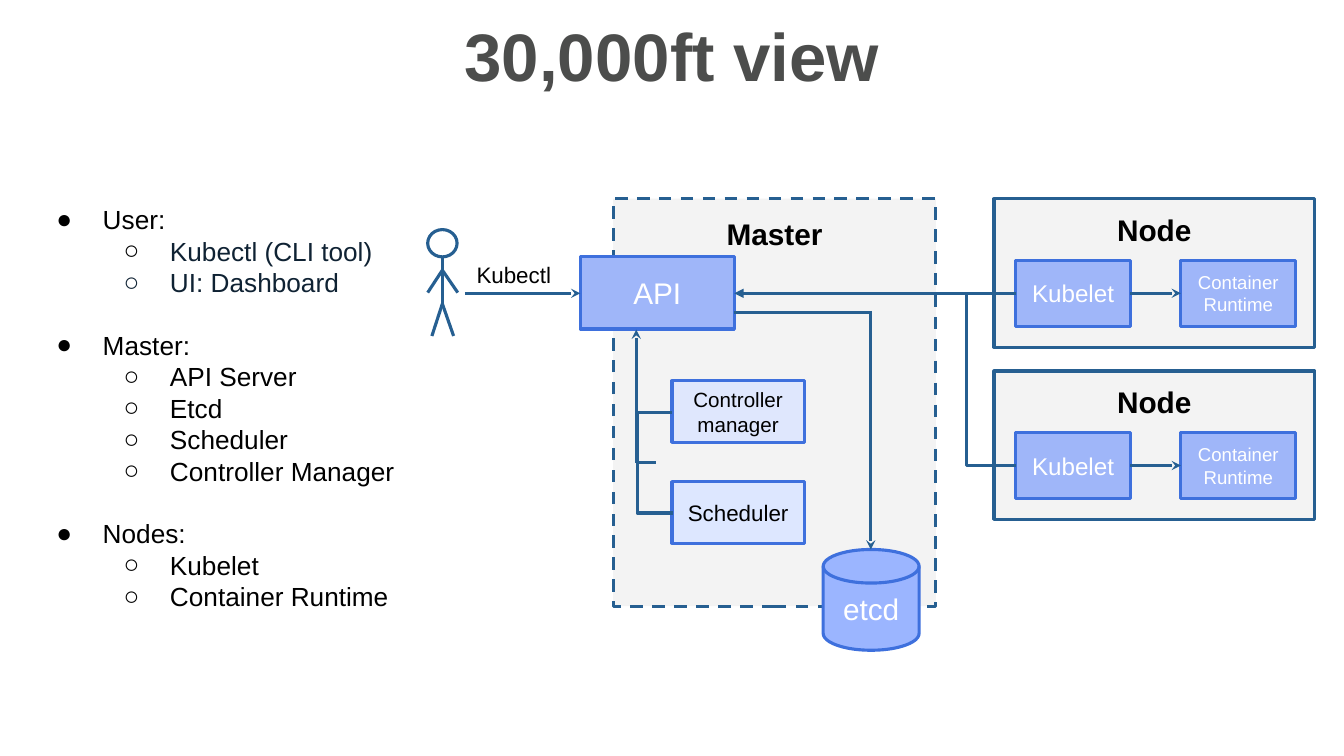
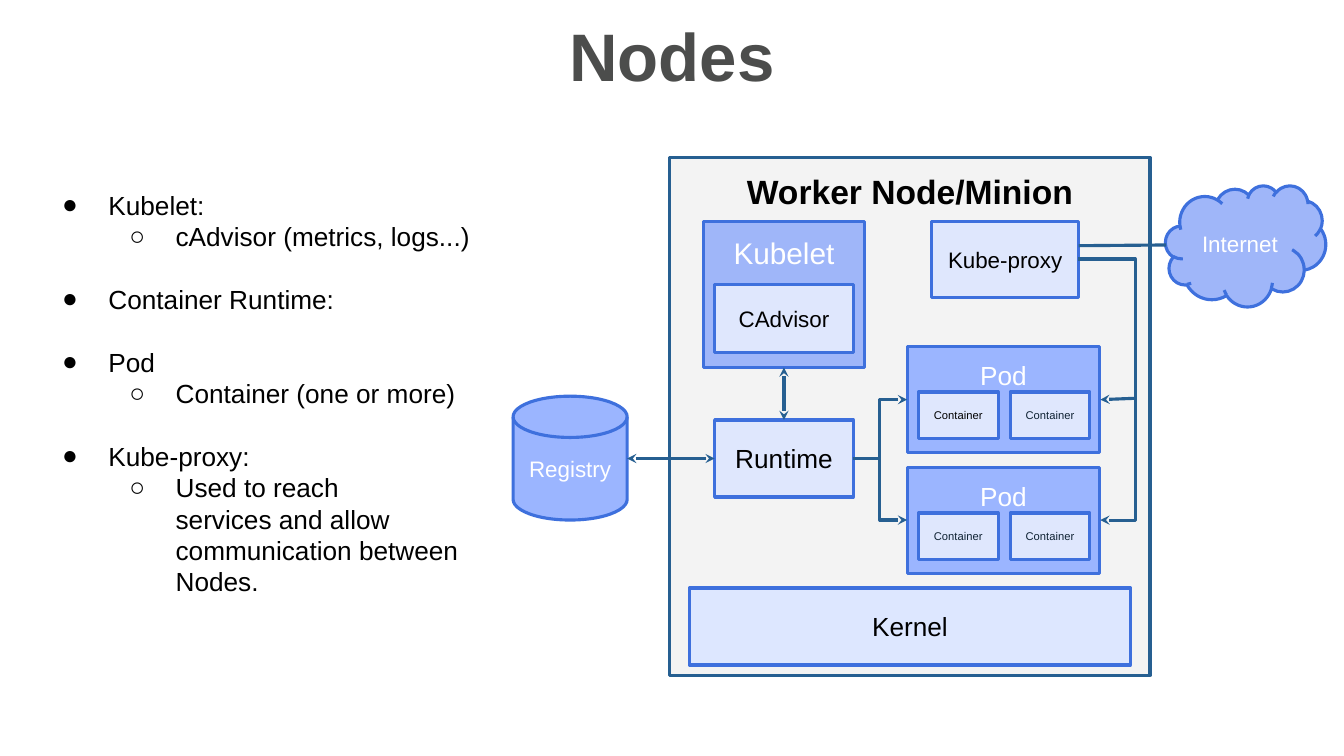
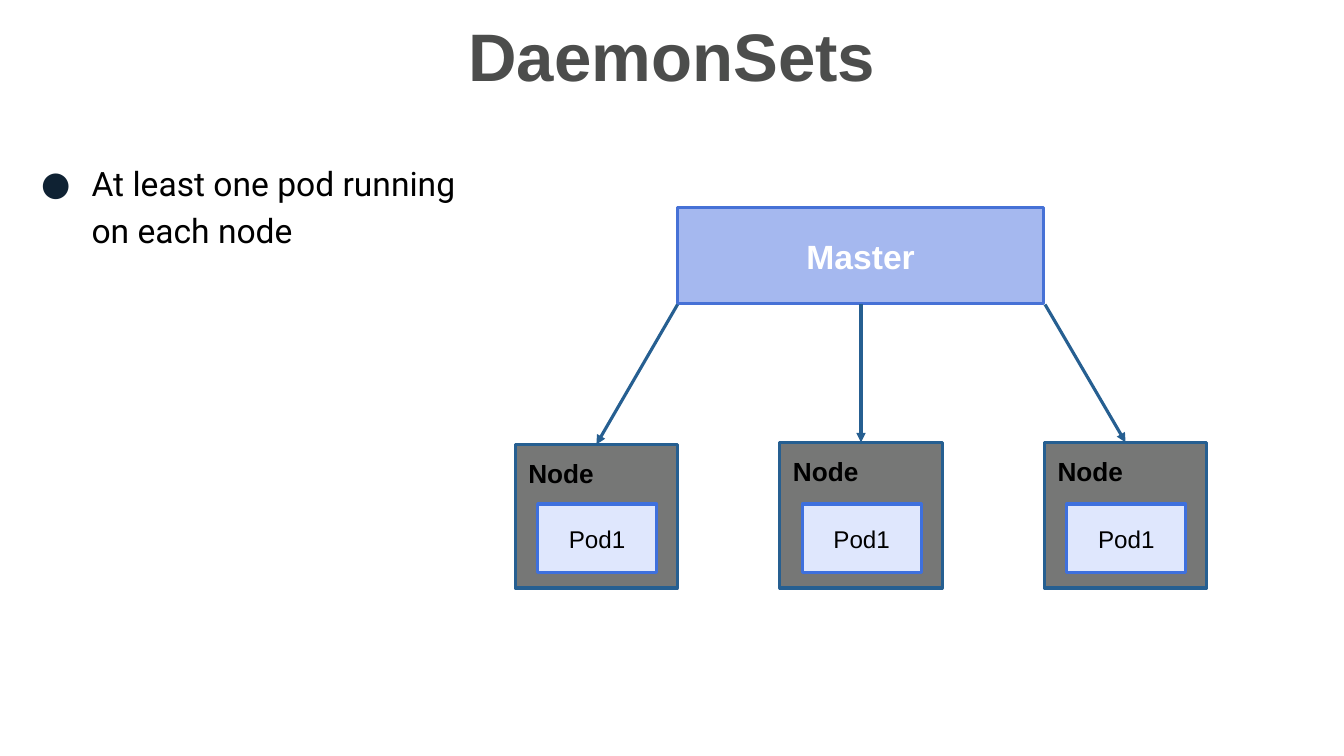
"""Build three slides on cluster architecture: overview, nodes and daemon sets."""
from dataclasses import dataclass
from typing import Optional

from lxml.etree import SubElement
from pptx import Presentation
from pptx.dml.color import RGBColor
from pptx.enum.dml import MSO_LINE
from pptx.enum.shapes import MSO_CONNECTOR as Route, MSO_SHAPE as Preset
from pptx.enum.text import MSO_ANCHOR as Anchor, PP_ALIGN as Align
from pptx.oxml.ns import qn
from pptx.util import Pt


@dataclass(frozen=True)
class Theme:
    font: str = "Arial"
    body_font: str = "Roboto"
    black: str = "000000"
    white: str = "FFFFFF"
    ink: str = "0F2233"
    title: str = "4C4D4C"
    navy: str = "265F91"
    edge: str = "3E70DD"
    master_edge: str = "4671D6"
    panel: str = "F3F3F3"
    blue: str = "9FB6F9"
    vivid: str = "9BB5FF"
    master: str = "A5B8EF"
    pale: str = "DFE7FD"
    ice: str = "DDE7FF"
    gray: str = "767776"
    title_size: float = 48
    heading: float = 24
    large: float = 21.3
    body: float = 18.7
    medium: float = 17.3
    label: float = 16
    small: float = 14.7
    caption: float = 13.3
    tiny: float = 8
    stroke: float = 2.25
    inset: float = 9.4
    list_line: float = 22.4


THEME = Theme()


@dataclass(frozen=True)
class Look:
    fill: str
    edge: str = THEME.edge
    size: float = THEME.label
    color: str = THEME.black
    bold: bool = False
    anchor: Anchor = Anchor.MIDDLE
    align: Align = Align.CENTER
    preset: Preset = Preset.FLOWCHART_PROCESS
    dashed: bool = False
    inset_top: float = THEME.inset


@dataclass(frozen=True)
class Item:
    text: str
    level: int = 0
    color: str = THEME.black
    bullet_color: str = THEME.black
    gap: bool = False


@dataclass(frozen=True)
class ListStyle:
    size: float = THEME.body
    font: str = THEME.font
    hanging: float = 33.1
    spacing: Optional[float] = None


def panel(size: float, preset_top: float = THEME.inset, dashed: bool = False) -> Look:
    return Look(THEME.panel, THEME.navy, size, bold=True, anchor=Anchor.TOP,
                preset=Preset.RECTANGLE, dashed=dashed, inset_top=preset_top)


def solid(size: float, fill: str = THEME.blue, anchor: Anchor = Anchor.MIDDLE,
          preset: Preset = Preset.FLOWCHART_PROCESS) -> Look:
    return Look(fill, size=size, color=THEME.white, anchor=anchor, preset=preset)


def rgb(value: str) -> RGBColor:
    return RGBColor.from_string(value)


def set_font(para, size: float, color: str, bold: bool = False, name: str = THEME.font) -> None:
    para.font.name = name
    para.font.size = Pt(size)
    para.font.bold = bold
    para.font.color.rgb = rgb(color)


def set_frame(frame, anchor: Anchor, top: float = THEME.inset) -> None:
    frame.word_wrap = True
    frame.vertical_anchor = anchor
    frame.margin_left = frame.margin_right = frame.margin_bottom = Pt(THEME.inset)
    frame.margin_top = Pt(top)


def add_text(page, text: str, left: float, top: float, width: float, height: float,
             size: float, color: str = THEME.black, bold: bool = False,
             anchor: Anchor = Anchor.TOP, align: Align = Align.LEFT) -> None:
    box = page.shapes.add_textbox(Pt(left), Pt(top), Pt(width), Pt(height))
    set_frame(box.text_frame, anchor)
    para = box.text_frame.paragraphs[0]
    para.text = text
    para.alignment = align
    set_font(para, size, color, bold)


def add_box(page, text: str, left: float, top: float, width: float, height: float,
            look: Look) -> None:
    box = page.shapes.add_shape(look.preset, Pt(left), Pt(top), Pt(width), Pt(height))
    box.shadow.inherit = False
    box.fill.solid()
    box.fill.fore_color.rgb = rgb(look.fill)
    box.line.color.rgb = rgb(look.edge)
    box.line.width = Pt(THEME.stroke)
    if look.dashed:
        box.line.dash_style = MSO_LINE.DASH
    if text:
        set_frame(box.text_frame, look.anchor, look.inset_top)
        para = box.text_frame.paragraphs[0]
        para.text = text
        para.alignment = look.align
        set_font(para, look.size, look.color, look.bold)


def add_line(page, x1: float, y1: float, x2: float, y2: float, head: str = "",
             tail: str = "", via: Optional[float] = None) -> None:
    route = Route.STRAIGHT if via is None else Route.ELBOW
    line = page.shapes.add_connector(route, Pt(x1), Pt(y1), Pt(x2), Pt(y2))
    line.line.color.rgb = rgb(THEME.navy)
    line.line.width = Pt(THEME.stroke)
    properties = line._element.spPr
    if via is not None:
        ratio = round((via - x1) / (x2 - x1) * 100000)
        guides = properties.find(qn("a:prstGeom")).get_or_add_avLst()
        SubElement(guides, qn("a:gd"), name="adj1", fmla=f"val {ratio}")
    outline = line.line._get_or_add_ln()
    for tag, kind in (("a:headEnd", head), ("a:tailEnd", tail)):
        if kind:
            SubElement(outline, qn(tag), type=kind)
    SubElement(properties, qn("a:effectLst"))


def add_list(page, items: list[Item], left: float, top: float, width: float, height: float,
             style: ListStyle = ListStyle()) -> None:
    box = page.shapes.add_textbox(Pt(left), Pt(top), Pt(width), Pt(height))
    frame = box.text_frame
    set_frame(frame, Anchor.TOP)
    for index, item in enumerate(items):
        para = frame.add_paragraph() if index else frame.paragraphs[0]
        para.text = item.text
        para.level = item.level
        properties = para._p.get_or_add_pPr()
        properties.set("marL", str(Pt(48 * (item.level + 1))))
        properties.set("indent", str(Pt(-style.hanging)))
        color = SubElement(properties, qn("a:buClr"))
        SubElement(color, qn("a:srgbClr"), val=item.bullet_color)
        SubElement(properties, qn("a:buFont"), typeface=style.font)
        SubElement(properties, qn("a:buChar"), char="●○"[item.level])
        if item.gap:
            para.space_before = Pt(THEME.list_line)
        if style.spacing:
            para.line_spacing = style.spacing
        set_font(para, style.size, item.color, name=style.font)


def add_page(deck, title: str):
    page = deck.slides.add_slide(deck.slide_layouts[6])
    add_text(page, title, 48, 0, 864, 78.5, THEME.title_size, THEME.title, True,
             Anchor.MIDDLE, Align.CENTER)
    return page


def add_node(page, top: float) -> None:
    middle = top + 67.5
    add_box(page, "Node", 710, top, 229, 106, panel(THEME.large))
    add_box(page, "Kubelet", 725.5, top + 44, 82, 47, solid(THEME.medium))
    add_box(page, "Container Runtime", 843.5, top + 44, 82, 47, solid(THEME.caption))
    add_line(page, 807.5, middle, 843.5, middle, tail="stealth")


def add_user(page) -> None:
    head = Look(THEME.white, THEME.navy, preset=Preset.OVAL)
    add_box(page, "", 305.5, 164, 21, 19.5, head)
    add_line(page, 316, 183.5, 316, 217)
    for hand, foot in ((305.5, 308.5), (327, 324)):
        add_line(page, 316, 193, hand, 209)
        add_line(page, 316, 217, foot, 240)


def add_pod(page, top: float, first_color: str) -> None:
    add_box(page, "Pod", 648, top, 137.5, 75.5, solid(THEME.body, THEME.vivid, Anchor.TOP))
    for left, color in ((656, first_color), (721.5, THEME.ink)):
        add_box(page, "Container", left, top + 32.5, 57, 33,
                Look(THEME.pale, size=THEME.tiny, color=color))


def build_overview(deck) -> None:
    page = add_page(deck, "30,000ft view")
    add_list(page, [
        Item("User:"),
        Item("Kubectl (CLI tool)", 1, THEME.ink),
        Item("UI: Dashboard", 1, THEME.ink, THEME.ink),
        Item("Master:", gap=True),
        Item("API Server", 1),
        Item("Etcd", 1),
        Item("Scheduler", 1),
        Item("Controller Manager", 1),
        Item("Nodes:", gap=True),
        Item("Kubelet", 1),
        Item("Container Runtime", 1),
    ], 16, 136, 315, 330)
    add_box(page, "Master", 438, 142, 230.5, 291, panel(THEME.large, 12.2, True))
    add_box(page, "API", 414.5, 183, 110, 52, solid(THEME.large))
    add_box(page, "Controller manager", 480, 272, 94.5, 44, Look(THEME.pale, size=THEME.small))
    add_box(page, "Scheduler", 480, 344, 94.5, 44, Look(THEME.ice))
    add_line(page, 480, 294.5, 481, 366.5, via=455)
    add_line(page, 468.5, 330.5, 455, 330.5)
    add_box(page, "etcd", 588, 392.5, 68.5, 72,
            solid(THEME.large, THEME.vivid, preset=Preset.FLOWCHART_MAGNETIC_DISK))
    add_user(page)
    add_line(page, 332, 209.5, 414.5, 209.5, tail="stealth")
    add_text(page, "Kubectl", 331, 177, 77, 29.5, THEME.label)
    add_line(page, 524.5, 223, 622, 223)
    add_line(page, 622, 222, 622, 392.5, tail="stealth")
    add_node(page, 265)
    add_line(page, 725.5, 332.5, 690.5, 209, via=690.5)
    add_line(page, 454.5, 330.5, 454.5, 235.5, tail="stealth")
    add_node(page, 142)
    add_line(page, 725.5, 209.5, 524.5, 209.5, tail="triangle")


def build_nodes(deck) -> None:
    page = add_page(deck, "Nodes")
    add_box(page, "Worker Node/Minion", 478.5, 112.5, 343, 370, panel(THEME.heading))
    add_box(page, "Runtime", 510.5, 300, 99, 55, Look(THEME.pale, size=THEME.body))
    add_box(page, "Kernel", 492.5, 420, 315, 55, Look(THEME.ice, size=THEME.body))
    add_box(page, "Registry", 366.5, 283, 81.5, 88.5,
            solid(THEME.label, THEME.vivid, preset=Preset.FLOWCHART_MAGNETIC_DISK))
    add_box(page, "Kubelet", 502.5, 158, 115, 104.5, solid(THEME.large, anchor=Anchor.TOP))
    add_box(page, "CAdvisor", 510.5, 203.5, 99, 48.5, Look(THEME.pale))
    add_box(page, "Kube-proxy", 665.5, 158, 105, 54.5, Look(THEME.pale))
    add_line(page, 560, 262.5, 560, 300, "stealth", "stealth")
    add_pod(page, 247.5, THEME.black)
    add_pod(page, 334, THEME.ink)
    add_line(page, 770, 185, 786, 371.5, tail="stealth", via=811)
    add_box(page, "Internet", 832.5, 132.5, 114.5, 86.5,
            solid(THEME.label, preset=Preset.CLOUD))
    add_line(page, 770.5, 175.5, 833, 175)
    add_line(page, 448, 327.5, 510.5, 327.5, "stealth", "stealth")
    add_line(page, 811, 284.5, 786, 285.5, tail="stealth")
    for pod_middle in (285.5, 371.5):
        add_line(page, 609, 327.5, 648, pod_middle, tail="stealth", via=628.5)
    add_list(page, [
        Item("Kubelet:"),
        Item("cAdvisor (metrics, logs...)", 1),
        Item("Container Runtime:", gap=True),
        Item("Pod", gap=True),
        Item("Container (one or more)", 1),
        Item("Kube-proxy:", gap=True),
        Item("Used to reach\vservices and allow\vcommunication between\vNodes.", 1),
    ], 20, 125.5, 337, 370)


def build_daemon_sets(deck) -> None:
    page = add_page(deck, "DaemonSets")
    add_list(page, [Item("At least one pod running on each node", bullet_color=THEME.ink)],
             8, 103, 337, 122, ListStyle(THEME.heading, THEME.body_font, 36, 1.15))
    add_box(page, "Master", 484, 148.5, 261.5, 68.5,
            Look(THEME.master, THEME.master_edge, THEME.heading, THEME.white, True,
                 preset=Preset.RECTANGLE))
    node = Look(THEME.gray, THEME.navy, THEME.body, bold=True, anchor=Anchor.TOP,
                align=Align.LEFT, preset=Preset.RECTANGLE)
    for index, (start, top) in enumerate(((484, 317.5), (615, 316), (746.5, 316))):
        left = 368 + 189 * index
        add_box(page, "Node", left, top, 116, 420 - top, node)
        add_box(page, "Pod1", left + 16, 360, 85, 49, Look(THEME.pale, size=THEME.medium))
        add_line(page, start, 217.5, left + 58, top, tail="triangle")


def main() -> None:
    deck = Presentation()
    deck.slide_width, deck.slide_height = Pt(960), Pt(540)
    build_overview(deck)
    build_nodes(deck)
    build_daemon_sets(deck)
    deck.save("out.pptx")


if __name__ == "__main__":
    main()
